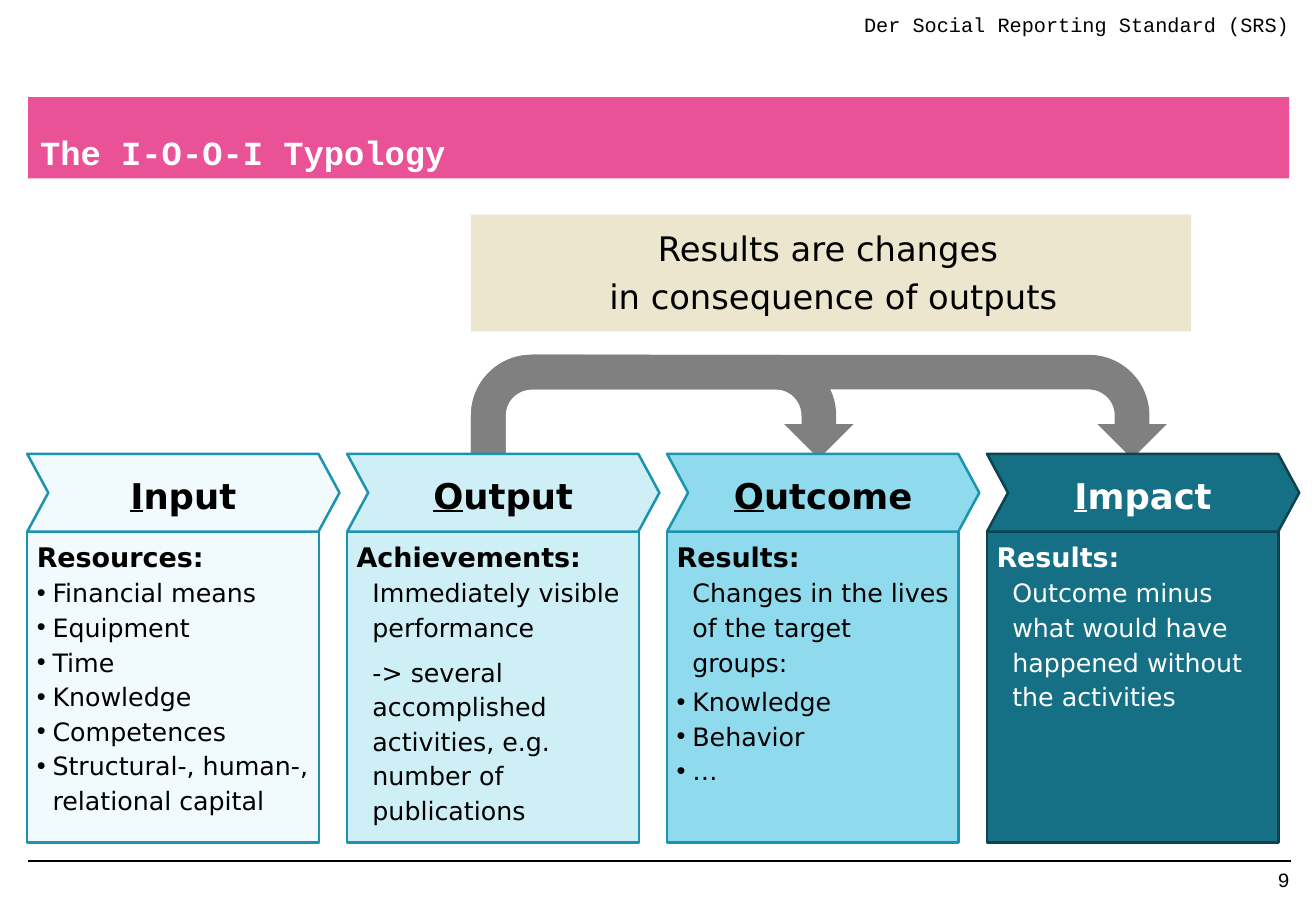
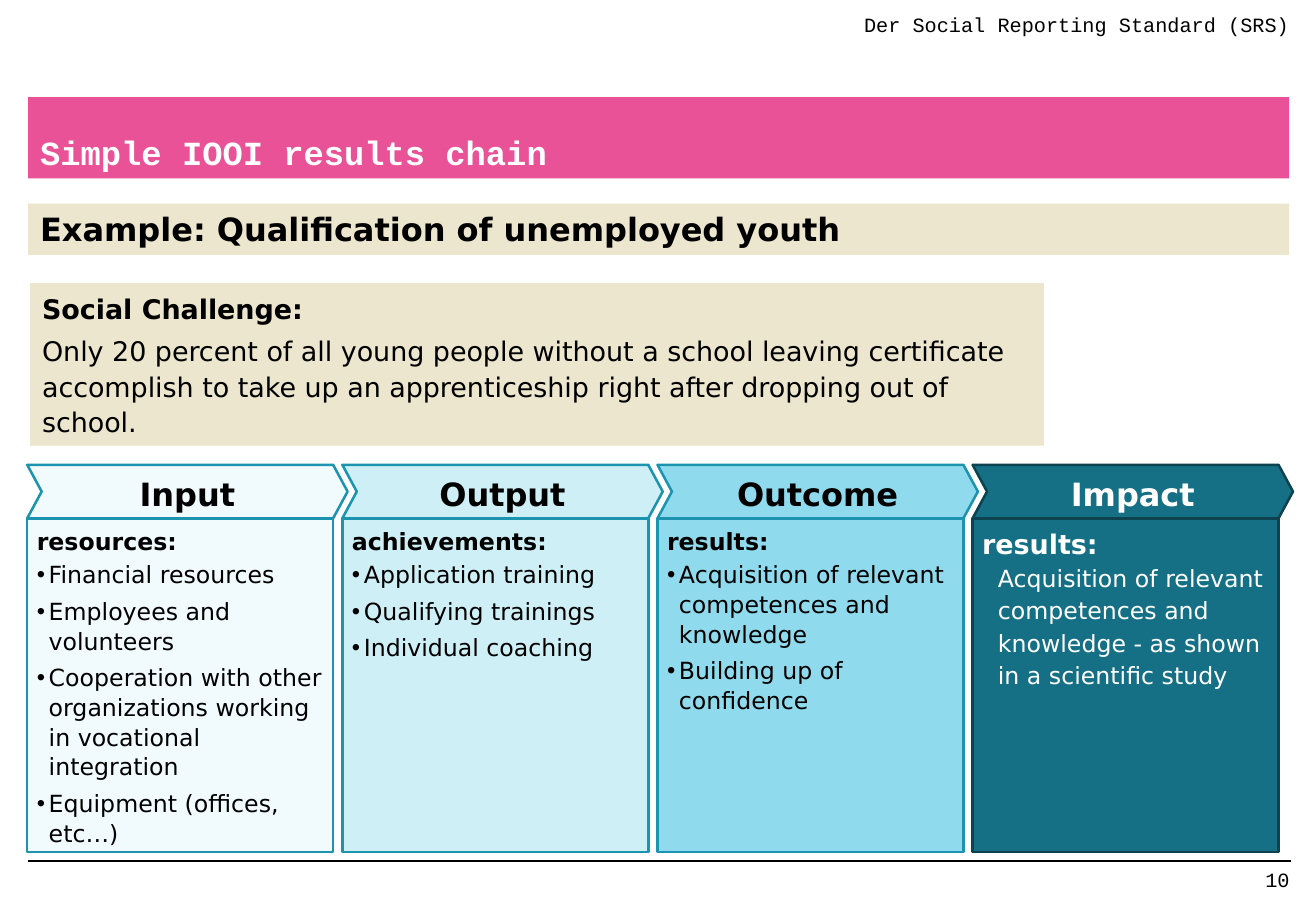
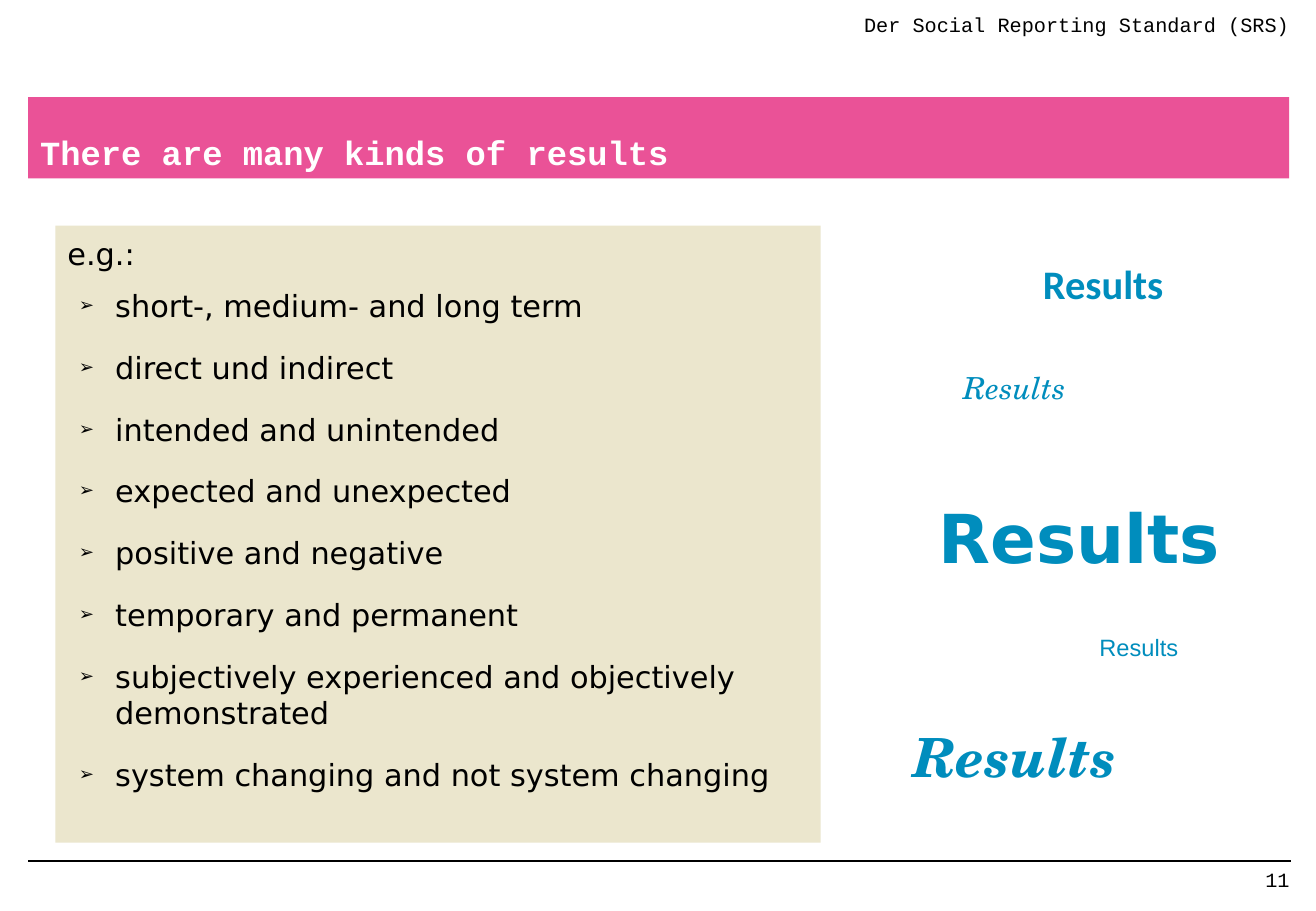
from lxml import etree
from pptx import Presentation
from pptx.dml.color import RGBColor
from pptx.enum.shapes import MSO_CONNECTOR, MSO_SHAPE
from pptx.enum.text import MSO_ANCHOR, MSO_AUTO_SIZE, PP_ALIGN
from pptx.oxml.ns import qn
from pptx.util import Cm, Pt

RECT, CHEVRON, UTURN = MSO_SHAPE.RECTANGLE, MSO_SHAPE.CHEVRON, MSO_SHAPE.U_TURN_ARROW
TOP, MIDDLE, BOTTOM = MSO_ANCHOR.TOP, MSO_ANCHOR.MIDDLE, MSO_ANCHOR.BOTTOM
LEFT, CENTER, RIGHT = PP_ALIGN.LEFT, PP_ALIGN.CENTER, PP_ALIGN.RIGHT

BLACK = RGBColor(0x00, 0x00, 0x00)
WHITE = RGBColor(0xFF, 0xFF, 0xFF)
PINK = RGBColor(0xEA, 0x52, 0x97)
BEIGE = RGBColor(0xEB, 0xE6, 0xCD)
GRAY = RGBColor(0x80, 0x80, 0x80)
BLUE = RGBColor(0x00, 0x8D, 0xBD)
TEAL = RGBColor(0x1C, 0x94, 0xB0)
DARK_TEAL = RGBColor(0x0D, 0x42, 0x4F)

SANS, MONO, SERIF = "DejaVu Sans", "Courier New", "TeX Gyre Schola"
INSETS = (0.25, 0.13, 0.25, 0.13)  # left, top, right, bottom in cm

# name, fill, outline, text colour of the four stages
STAGES = [
    ("Input", RGBColor(0xF1, 0xFB, 0xFD), TEAL, BLACK),
    ("Output", RGBColor(0xCE, 0xEF, 0xF6), TEAL, BLACK),
    ("Outcome", RGBColor(0x8F, 0xDB, 0xED), TEAL, BLACK),
    ("Impact", RGBColor(0x15, 0x70, 0x85), DARK_TEAL, WHITE),
]


def dress(sp, fill=None, line=None, width=1.5, insets=INSETS, anchor=TOP):
    """Set fill, outline and text frame of a shape, and return the shape."""
    sp.shadow.inherit = False
    if fill is None:
        sp.fill.background()
    else:
        sp.fill.solid()
        sp.fill.fore_color.rgb = fill
    if line is None:
        sp.line.fill.background()
    else:
        sp.line.color.rgb = line
        sp.line.width = Pt(width)
    tf = sp.text_frame
    tf.word_wrap = True
    tf.auto_size = MSO_AUTO_SIZE.NONE
    tf.vertical_anchor = anchor
    tf.margin_left, tf.margin_top, tf.margin_right, tf.margin_bottom = map(Cm, insets)
    return sp


def add_text(sp, text, size, color=BLACK, font=SANS, bold=False, italic=False,
             align=LEFT, spacing=1.0, before=0, after=0, left=0, hang=0,
             bullet=None, bullet_size=None, bullet_font=None, lead=""):
    """Add one paragraph; lead is an underlined beginning, a newline breaks the line."""
    tf = sp.text_frame
    p = tf.add_paragraph() if tf.paragraphs[0].runs else tf.paragraphs[0]
    p.alignment = align
    p.line_spacing = spacing
    p.space_before, p.space_after = Pt(before), Pt(after)
    pPr = p._p.get_or_add_pPr()
    pPr.set("marL", str(Cm(left)))
    pPr.set("indent", str(-Cm(hang)))
    if bullet_size:
        etree.SubElement(pPr, qn("a:buSzPct")).set("val", str(bullet_size * 1000))
    if bullet_font:
        etree.SubElement(pPr, qn("a:buFont")).set("typeface", bullet_font)
    if bullet:
        etree.SubElement(pPr, qn("a:buChar")).set("char", bullet)
    else:
        etree.SubElement(pPr, qn("a:buNone"))
    parts = [(lead, True)] if lead else []
    parts += [(row, False) for row in text.split("\n")]
    for i, (part, underline) in enumerate(parts):
        if i and not parts[i - 1][1]:
            p.add_line_break()
        r = p.add_run()
        r.text = part
        r.font.name, r.font.size, r.font.color.rgb = font, Pt(size), color
        r.font.bold, r.font.italic, r.font.underline = bold, italic, underline


prs = Presentation()
prs.slide_width, prs.slide_height = Cm(27.52), Cm(19.05)

# Shared frame: title band, header, footer line, page number
slides = []
for number, layout, title in [(9, 5, "The I-O-O-I Typology"),
                              (10, 5, "Simple IOOI results chain"),
                              (11, 1, "There are many kinds of results")]:
    s = prs.slides.add_slide(prs.slide_layouts[layout])
    slides.append(s)
    band = s.shapes.title
    band.left, band.top, band.width, band.height = map(Cm, (0.59, 2.03, 26.37, 1.7))
    dress(band, PINK, anchor=BOTTOM)
    add_text(band, title, 20, WHITE, MONO, bold=True)
    for text, at in [("Der Social Reporting Standard (SRS)", (13.76, 0.13, 13.2, 1.02)),
                     (str(number), (20.54, 18, 6.43, 0.79))]:
        sp = dress(s.shapes.add_textbox(*map(Cm, at)), insets=(0.25, 0.13, 0, 0.13))
        add_text(sp, text, 12, font=MONO, align=RIGHT)
    rule = s.shapes.add_connector(MSO_CONNECTOR.STRAIGHT, *map(Cm, (0.59, 18, 27, 18)))
    rule.line.color.rgb = BLACK
    rule.line.width = Pt(1)
    etree.SubElement(rule._element.spPr, qn("a:effectLst"))

typology, example, kinds = slides

# Slide 1: callout and arrows
callout = dress(typology.shapes.add_shape(RECT, *map(Cm, (9.85, 4.49, 15.06, 2.44))),
                BEIGE, insets=(0.2, 0.1, 0.1, 0.1))
add_text(callout, "Results are changes \nin consequence of outputs", 20,
         align=CENTER, spacing=1.2)
for width in (8, 14.55):
    dress(typology.shapes.add_shape(UTURN, *map(Cm, (9.85, 7.42, width, 2.9))), GRAY)

# Slide 2: example and challenge
heading = dress(example.shapes.add_shape(RECT, *map(Cm, (0.59, 4.26, 26.37, 1.07))), BEIGE)
add_text(heading, "Example: Qualification of unemployed youth", 19, bold=True)
challenge = dress(example.shapes.add_shape(RECT, *map(Cm, (0.63, 5.92, 21.2, 3.4))), BEIGE)
add_text(challenge, "Social Challenge:", 16, bold=True, spacing=1.1, after=2)
add_text(challenge, "Only 20 percent of all young people without a school leaving certificate "
         "accomplish to take up an apprenticeship right after dropping out of school.",
         16, spacing=1.1, before=2, after=2)

# Slides 1 and 2: chains of four stages
dot = dict(bullet="•", bullet_font="Arial")
item = dict(dot, size=15, spacing=1.14, left=0.33, hang=0.33)
plain = dict(size=15, spacing=1.14, left=0.33)
tight = dict(dot, size=14, spacing=1.05, left=0.25, hang=0.25, before=2, after=2)

# heading, heading size, right inset, paragraphs
typology_columns = [
    ("Resources:", 16, 0, [(t, item) for t in (
        "Financial means", "Equipment", "Time", "Knowledge", "Competences",
        "Structural-, human-, relational capital")]),
    ("Achievements:", 16, 0.2, [(t, dict(plain, after=6)) for t in (
        "Immediately visible performance",
        "-> several accomplished activities, e.g. number of publications")]),
    ("Results:", 16, 0.2, [
        ("Changes in the lives of the target groups:", dict(plain, after=3)),
        ("Knowledge", item), ("Behavior", item), ("…", item)]),
    ("Results:", 16, 0.2, [
        ("Outcome minus what would have happened without the activities", plain)]),
]
example_columns = [
    ("resources:", 14, 0.1, [(t, tight) for t in (
        "Financial resources", "Employees and volunteers",
        "Cooperation with other organizations working in vocational integration",
        "Equipment (offices, etc…)")]),
    ("achievements:", 14, 0.1, [(t, tight) for t in (
        "Application training", "Qualifying trainings", "Individual coaching")]),
    ("results:", 14, 0.1, [(t, tight) for t in (
        "Acquisition of relevant competences and knowledge", "Building up of confidence")]),
    ("results:", 16, 0.1, [
        ("Acquisition of relevant competences and knowledge - as shown in a scientific study",
         dict(plain, size=14))]),
]

# slide, columns, pitch, column width, chevron width, top, chevron height,
# column height, chevron text size, underlined letters
for s, columns, pitch, col_w, chev_w, top, chev_h, col_h, size, initials in [
        (typology, typology_columns, 6.69, 6.1, 6.53, 9.49, 1.63, 6.5, 21, 1),
        (example, example_columns, 6.59, 6.4, 6.7, 9.72, 1.12, 6.98, 19, 0)]:
    for i, (stage, column) in enumerate(zip(STAGES, columns)):
        name, fill, line, color = stage
        head, head_size, inset, paragraphs = column
        x = 0.57 + i * pitch
        body = dress(s.shapes.add_shape(RECT, *map(Cm, (x, top + chev_h, col_w, col_h))),
                     fill, line, insets=(0.2, 0.1, inset, 0.1))
        add_text(body, head, head_size, color, bold=True, spacing=1.14, left=0.33, hang=0.33)
        for text, style in paragraphs:
            add_text(body, text, color=color, **style)
        chevron = dress(s.shapes.add_shape(CHEVRON, *map(Cm, (x, top, chev_w, chev_h))),
                        fill, line, insets=(0.2, 0.2, 0.2, 0.2), anchor=MIDDLE)
        chevron.adjustments[0] = 0.27
        add_text(chevron, name[initials:], size, color, bold=True, align=CENTER,
                 spacing=1.1, lead=name[:initials])

# Slide 3: list and scattered words
body = kinds.placeholders[1]
body.left, body.top, body.width, body.height = map(Cm, (1.16, 4.72, 16, 12.9))
dress(body, BEIGE)
add_text(body, "e.g.:", 18, spacing=1.1, after=6, left=0.74, hang=0.74)
for text in ("short-, medium- and long term", "direct und indirect",
             "intended and unintended", "expected and unexpected",
             "positive and negative", "temporary and permanent",
             "subjectively experienced and objectively demonstrated",
             "system changing and not system changing"):
    add_text(body, text, 18, before=3, after=12, left=1, hang=0.76,
             bullet="➢", bullet_size=60)

for at, size, font, bold, italic in [
        ((17.75, 9.52, 9.65, 3.4), 40, SANS, True, False),
        ((18.08, 7.21, 6.27, 1.8), 18, SERIF, False, True),
        ((17.64, 14.62, 7.16, 2.39), 32, SERIF, True, True),
        ((19.17, 4.72, 7.8, 2.39), 24, "Calibri", True, False),
        ((20.68, 12.93, 6.27, 1.19), 14, "Arial", False, False)]:
    word = dress(kinds.shapes.add_shape(RECT, *map(Cm, at)), WHITE, WHITE, 2, anchor=MIDDLE)
    add_text(word, "Results", size, BLUE, font, bold, italic, CENTER)

prs.save("out.pptx")
